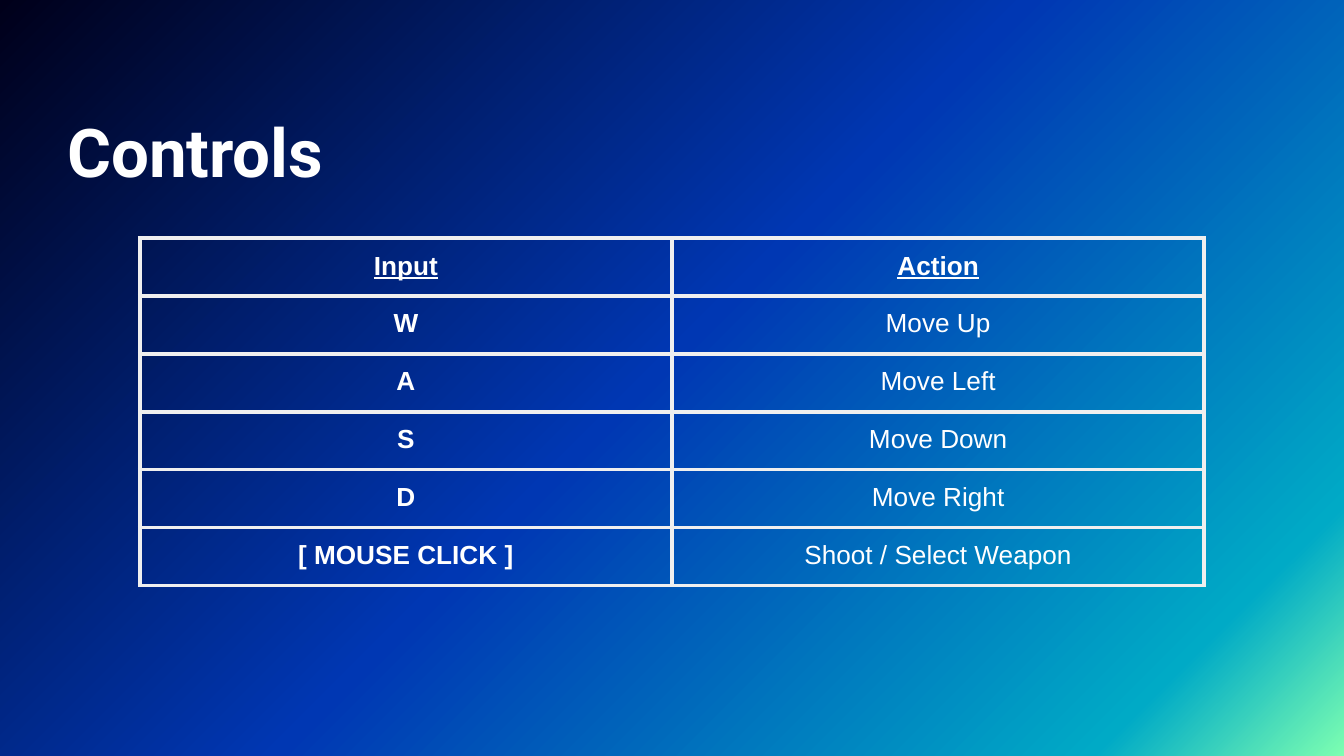
from dataclasses import dataclass

from lxml import etree
from pptx import Presentation
from pptx.dml.color import RGBColor
from pptx.enum.text import MSO_ANCHOR, PP_ALIGN
from pptx.oxml.ns import qn
from pptx.util import Cm, Pt

LEFT, CENTER = PP_ALIGN.LEFT, PP_ALIGN.CENTER
BOTTOM = MSO_ANCHOR.BOTTOM

# Content
TITLE = "Controls"
ROWS = [
    ("Input", "Action"),
    ("W", "Move Up"),
    ("A", "Move Left"),
    ("S", "Move Down"),
    ("D", "Move Right"),
    ("[ MOUSE CLICK ]", "Shoot / Select Weapon"),
]


@dataclass(frozen=True)
class Theme:
    ink: str = "FFFFFF"
    rule: str = "EFEFEF"
    rule_size: float = 2.25
    head_font: str = "Roboto"
    body_font: str = "Arial"
    head_size: int = 36
    body_size: int = 14
    stops: tuple = ((0, "7DFFB1"), (12, "00AAC6"), (51, "0037B3"), (100, "00001A"))
    angle: int = 135


THEME = Theme()

# Layout
WIDE, HIGH = Cm(25.4), Cm(14.29)
GRID_X, GRID_Y = Cm(2.64), Cm(4.5)
COL, ROW = Cm(10.06), Cm(1.06)
PAD = Cm(0.25)


def write(frame, text, font=THEME.body_font, size=THEME.body_size,
          bold=False, under=False, align=CENTER):
    para = frame.paragraphs[0]
    para.alignment = align
    run = para.add_run()
    run.text = text
    face = run.font
    face.name, face.size = font, Pt(size)
    face.bold, face.underline = bold, under
    face.color.rgb = RGBColor.from_string(THEME.ink)


def add_color(parent, value):
    etree.SubElement(parent, qn("a:srgbClr"), val=value)


def paint_back(slide):
    fill = slide.background.fill
    fill.gradient()
    fill.gradient_angle = THEME.angle
    stops = next(slide.element.iter(qn("a:gsLst")))
    for stop in list(stops):
        stops.remove(stop)
    for place, color in THEME.stops:
        stop = etree.SubElement(stops, qn("a:gs"), pos=str(place * 1000))
        add_color(stop, color)


def add_rules(cell):
    props = cell._tc.get_or_add_tcPr()
    for side in ("a:lnL", "a:lnR", "a:lnT", "a:lnB"):
        line = etree.SubElement(props, qn(side), w=str(Pt(THEME.rule_size)))
        add_color(etree.SubElement(line, qn("a:solidFill")), THEME.rule)


# Slide
deck = Presentation()
deck.slide_width, deck.slide_height = WIDE, HIGH
slide = deck.slides.add_slide(deck.slide_layouts[6])
paint_back(slide)

# Title
frame = slide.shapes.add_textbox(Cm(1.27), Cm(1.22), Cm(16.74), Cm(2.39)).text_frame
frame.word_wrap = True
frame.vertical_anchor = BOTTOM
frame.margin_left = frame.margin_right = frame.margin_top = frame.margin_bottom = 0
write(frame, TITLE, font=THEME.head_font, size=THEME.head_size, bold=True, align=LEFT)

# Table of controls
count, span = len(ROWS), len(ROWS[0])
grid = slide.shapes.add_table(count, span, GRID_X, GRID_Y, COL * span, ROW * count).table
grid.horz_banding = False
for col in grid.columns:
    col.width = COL
for r, row in enumerate(ROWS):
    grid.rows[r].height = ROW
    for c, text in enumerate(row):
        cell = grid.cell(r, c)
        cell.margin_left = cell.margin_right = PAD
        cell.margin_top = cell.margin_bottom = PAD
        add_rules(cell)
        cell.fill.background()
        write(cell.text_frame, text, bold=r == 0 or c == 0, under=r == 0)

deck.save("out.pptx")
